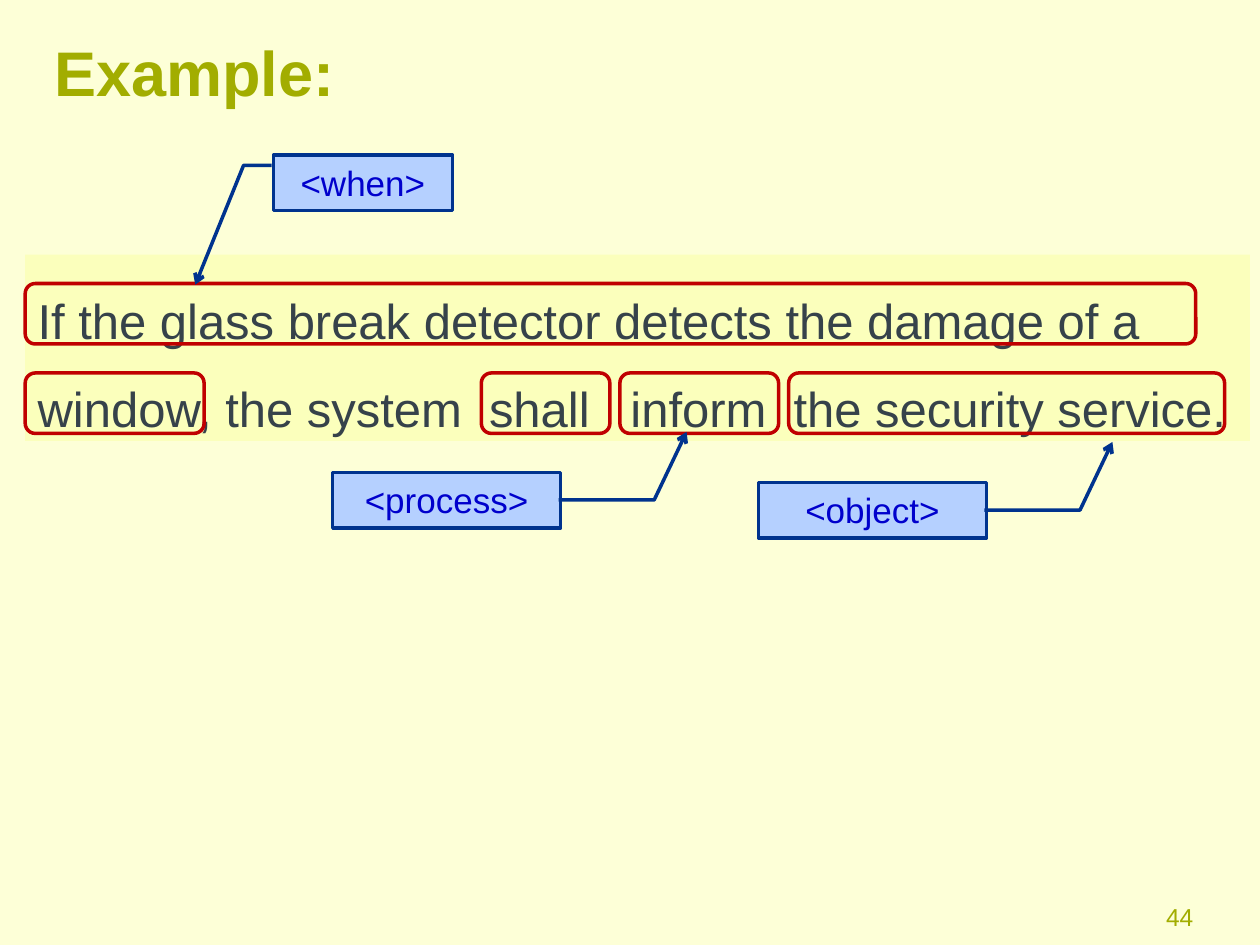
from dataclasses import dataclass

from lxml import etree
from pptx import Presentation
from pptx.dml.color import RGBColor
from pptx.enum.shapes import MSO_SHAPE
from pptx.enum.text import MSO_ANCHOR, PP_ALIGN
from pptx.oxml.ns import qn
from pptx.util import Inches, Pt

RECTANGLE = MSO_SHAPE.RECTANGLE
ROUNDED = MSO_SHAPE.ROUNDED_RECTANGLE
CALLOUT = MSO_SHAPE.LINE_CALLOUT_2
LEFT, CENTER, RIGHT = PP_ALIGN.LEFT, PP_ALIGN.CENTER, PP_ALIGN.RIGHT
TOP, MIDDLE = MSO_ANCHOR.TOP, MSO_ANCHOR.MIDDLE

BACKGROUND = RGBColor(0xFD, 0xFF, 0xD7)
BAND_YELLOW = RGBColor(0xFB, 0xFF, 0xBC)
OLIVE = RGBColor(0xA2, 0xAD, 0x00)
SLATE = RGBColor(0x36, 0x42, 0x4A)
RED = RGBColor(0xC0, 0x00, 0x00)
LIGHT_BLUE = RGBColor(0xB5, 0xD0, 0xFF)
NAVY = RGBColor(0x00, 0x33, 0x8E)
LABEL_BLUE = RGBColor(0x00, 0x00, 0xCC)

FONT = "Arial"
SENTENCE_SIZE = 28
SPACE_WIDTH = 0.278 * SENTENCE_SIZE  # points


@dataclass
class Frame:
    left: float
    top: float
    width: float
    height: float = 0.48

    def lengths(self):
        return [Inches(n) for n in (self.left, self.top, self.width, self.height)]


@dataclass
class Callout:
    label: str
    frame: Frame
    leader: tuple  # y, x of three points, as shares of the frame


RISING_LEADER = (0.497, 0.991, 0.497, 1.41, -0.732, 1.552)
CALLOUTS = [
    Callout("<when>", Frame(2.17, 1.23, 1.42, 0.44),
            (0.188, -0.01, 0.188, -0.167, 2.339, -0.437)),
    Callout("<process>", Frame(2.64, 3.75, 1.81, 0.44), RISING_LEADER),
    Callout("<object>", Frame(6.02, 3.83, 1.81, 0.44), RISING_LEADER),
]
HIGHLIGHTS = [
    Frame(0.2, 2.25, 9.29),
    Frame(0.2, 2.96, 1.42),
    Frame(3.82, 2.96, 1.02),
    Frame(4.92, 2.96, 1.26),
    Frame(6.26, 2.96, 3.46),
]
# Each part of the sentence, and how many spaces wide the gap after it is
SENTENCE = [
    ("If the glass break detector detects the damage of a window, the system", 2),
    ("shall", 3),
    ("inform", 2),
    ("the security service.", 0),
]


def style_paragraph(paragraph, size: int, color: RGBColor, align=LEFT, bold=False) -> None:
    paragraph.alignment = align
    font = paragraph.font
    font.name, font.size, font.bold = FONT, Pt(size), bold
    font.color.rgb = color


def add_text(slide, frame: Frame, text: str, size: int, align=LEFT, bold=False,
             anchor=TOP, margin_left: float = 0.1) -> None:
    text_frame = slide.shapes.add_textbox(*frame.lengths()).text_frame
    text_frame.word_wrap = True
    text_frame.vertical_anchor = anchor
    text_frame.margin_left = Inches(margin_left)
    paragraph = text_frame.paragraphs[0]
    paragraph.text = text
    style_paragraph(paragraph, size, OLIVE, align, bold)


def add_box(slide, kind, frame: Frame, fill=None, line=None):
    shape = slide.shapes.add_shape(kind, *frame.lengths())
    shape.shadow.inherit = False
    if fill is None:
        shape.fill.background()
    else:
        shape.fill.solid()
        shape.fill.fore_color.rgb = fill
    if line is None:
        shape.line.fill.background()
    else:
        shape.line.color.rgb = line
        shape.line.width = Pt(2)
    shape.text_frame.word_wrap = True
    shape.text_frame.vertical_anchor = TOP
    return shape


def add_sentence(slide) -> None:
    band = add_box(slide, RECTANGLE, Frame(0.2, 2.02, 9.72, 1.48), BAND_YELLOW)
    paragraph = band.text_frame.paragraphs[0]
    for words, gap in SENTENCE:
        paragraph.add_run().text = words
        if gap:
            # One space, widened by character spacing
            space = paragraph.add_run()
            space.text = " "
            spacing = round((gap - 1) * SPACE_WIDTH * 100)
            space.font._element.set("spc", str(spacing))
    paragraph.line_spacing = 1.5
    style_paragraph(paragraph, SENTENCE_SIZE, SLATE)


def add_callout(slide, callout: Callout) -> None:
    shape = add_box(slide, CALLOUT, callout.frame, LIGHT_BLUE, NAVY)
    for index, value in enumerate(callout.leader):
        shape.adjustments[index] = value
    line = shape.line._get_or_add_ln()
    etree.SubElement(line, qn("a:tailEnd"), type="arrow")
    paragraph = shape.text_frame.paragraphs[0]
    paragraph.text = callout.label
    style_paragraph(paragraph, 20, LABEL_BLUE, CENTER)


def main() -> None:
    presentation = Presentation()
    presentation.slide_width = Inches(10)
    presentation.slide_height = Inches(7.5)
    slide = presentation.slides.add_slide(presentation.slide_layouts[6])
    slide.background.fill.solid()
    slide.background.fill.fore_color.rgb = BACKGROUND

    # Title and page number
    add_text(slide, Frame(0.43, 0.21, 9.25, 0.71), "Example:", 36,
             bold=True, anchor=MIDDLE, margin_left=0)
    add_text(slide, Frame(9, 7.11, 0.57, 0.39), "44", 14, align=RIGHT)

    # Requirement sentence with its marked parts
    add_sentence(slide)
    for frame in HIGHLIGHTS:
        add_box(slide, ROUNDED, frame, line=RED)

    # Labels pointing at the parts
    for callout in CALLOUTS:
        add_callout(slide, callout)

    presentation.save("out.pptx")


if __name__ == "__main__":
    main()
